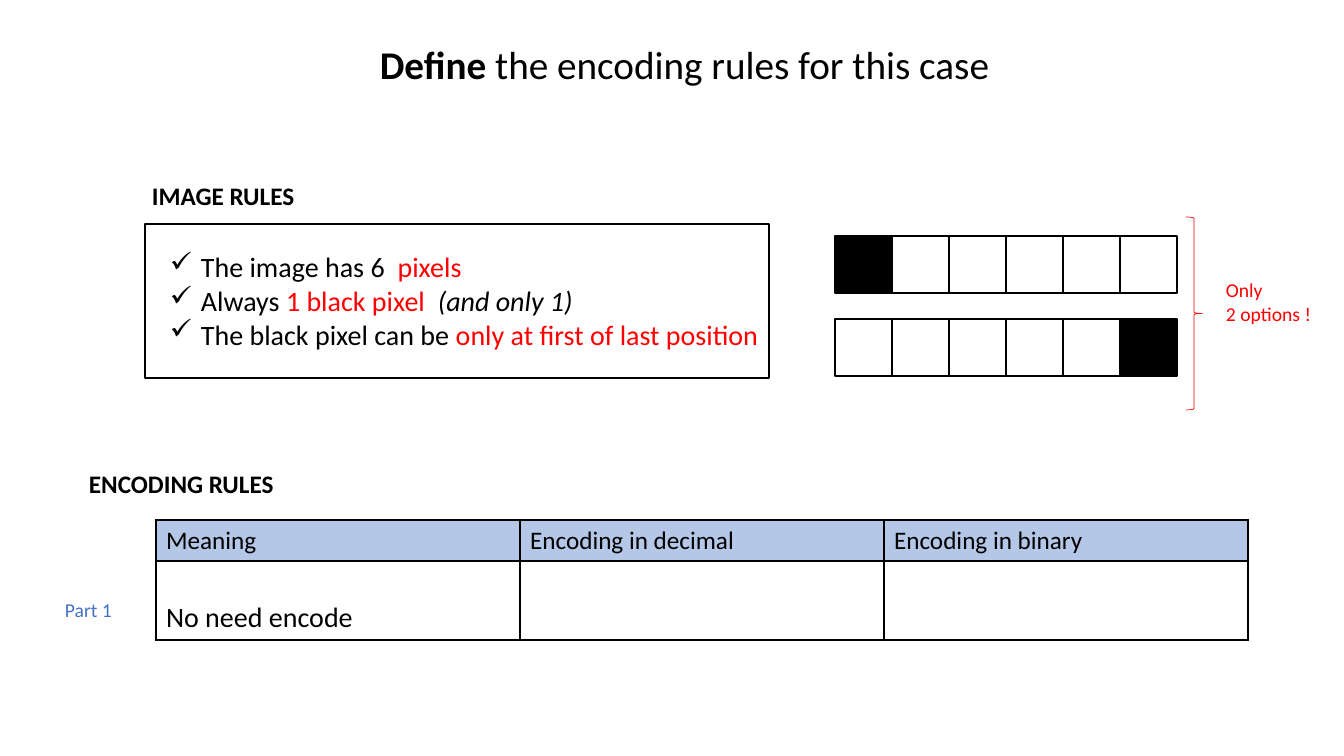
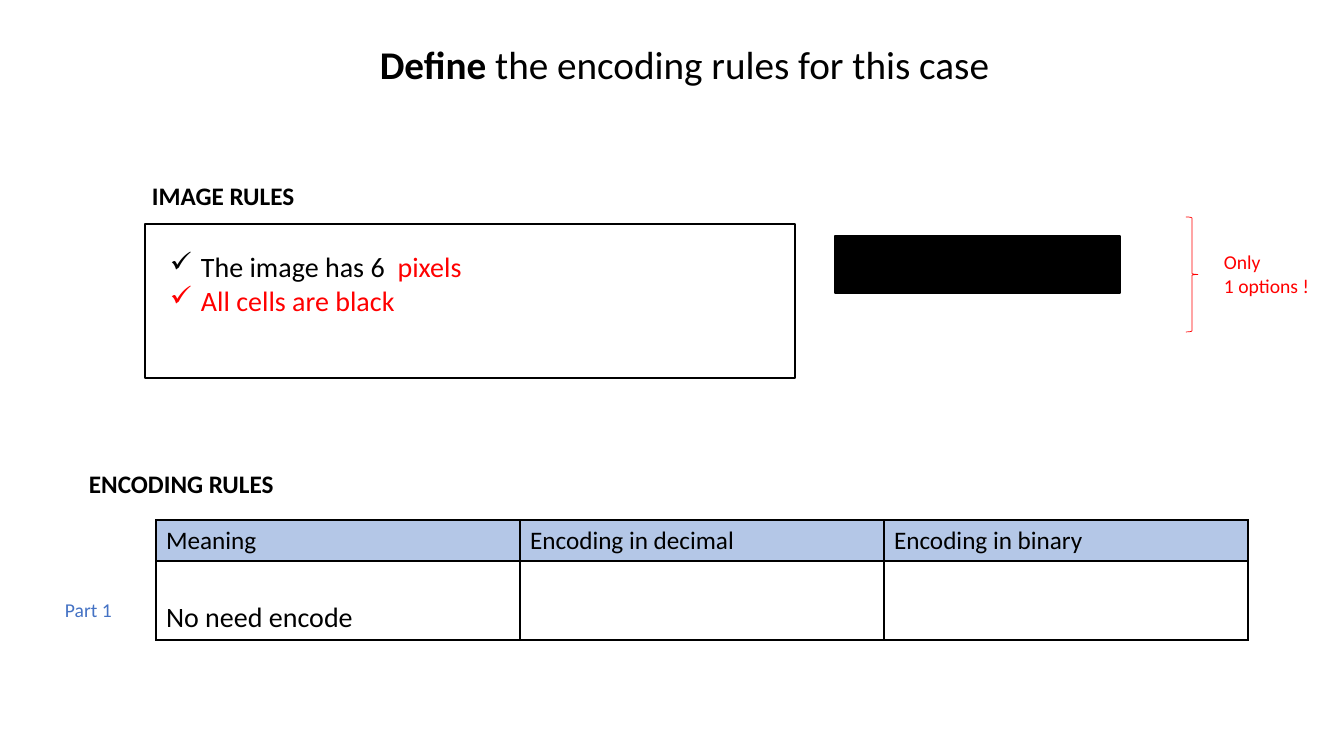
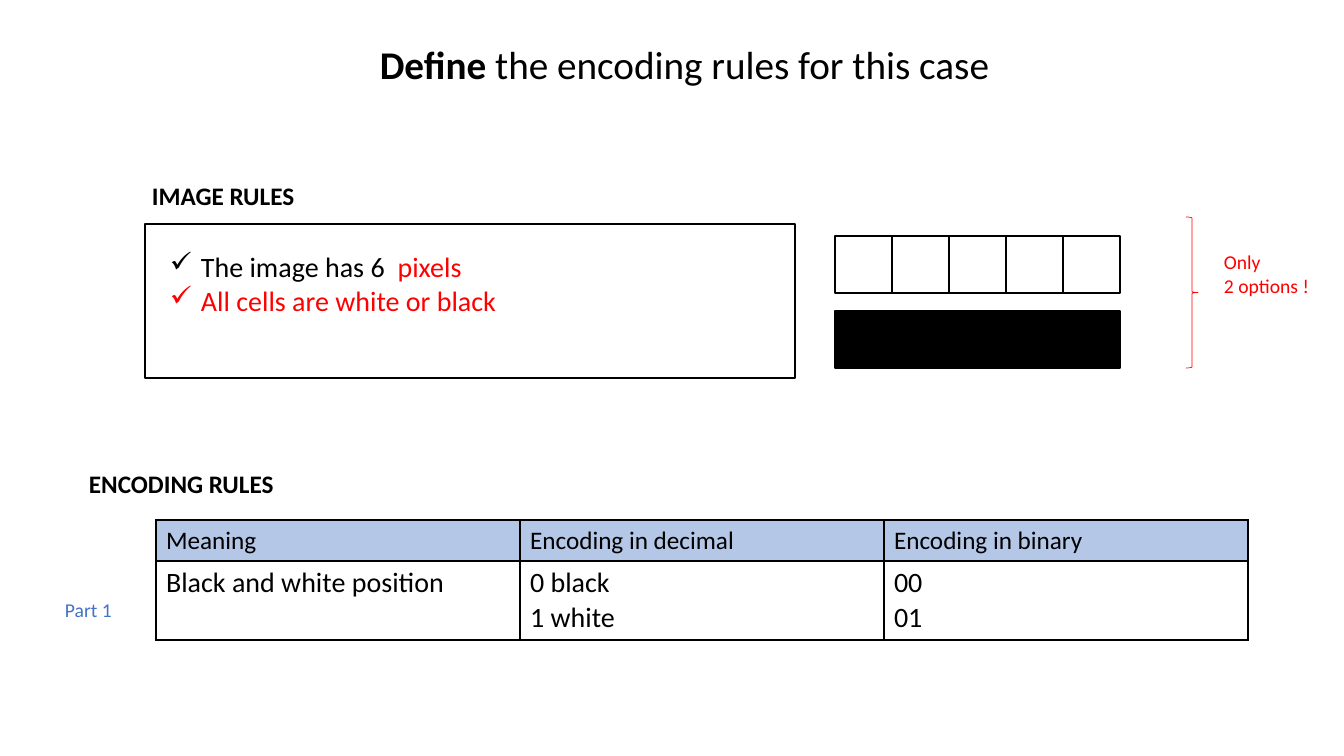
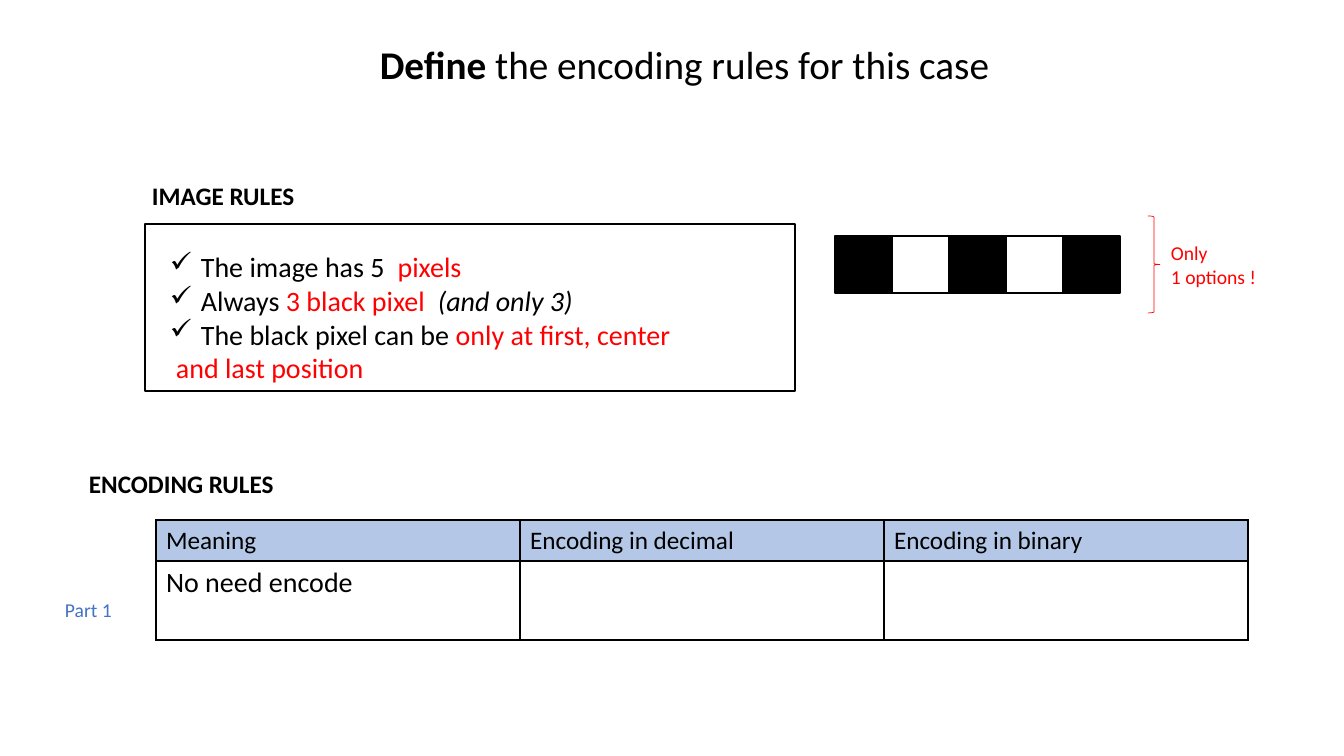
from dataclasses import dataclass

from lxml import etree
from pptx import Presentation
from pptx.dml.color import RGBColor
from pptx.enum.shapes import MSO_SHAPE
from pptx.enum.text import MSO_ANCHOR, MSO_AUTO_SIZE, PP_ALIGN
from pptx.oxml.ns import qn
from pptx.util import Pt

RECTANGLE, BRACE = MSO_SHAPE.RECTANGLE, MSO_SHAPE.RIGHT_BRACE
TOP, BOTTOM = MSO_ANCHOR.TOP, MSO_ANCHOR.BOTTOM
CENTER = PP_ALIGN.CENTER
NO_AUTOFIT = MSO_AUTO_SIZE.NONE
EMU_PER_PX = 914400 / 100.8


@dataclass(frozen=True)
class Theme:
    font: str = "Calibri"
    black: str = "000000"
    white: str = "FFFFFF"
    red: str = "FF0000"
    blue: str = "4472C4"
    header: str = "B4C7E7"
    title: int = 28
    body: int = 20
    heading: int = 18
    label: int = 14


THEME = Theme()
RED, BOLD, ITALIC = "red", "bold", "italic"


def px(*lengths):
    return [round(length * EMU_PER_PX) for length in lengths]


def write(frame, lines, size, colour=THEME.black):
    """Fill a text frame; a line is a list of (text, style) spans."""
    for index, spans in enumerate(lines):
        para = frame.paragraphs[0] if index == 0 else frame.add_paragraph()
        for text, style in spans:
            span = para.add_run()
            span.text = text
            font = span.font
            font.name, font.size = THEME.font, Pt(size)
            font.bold, font.italic = style == BOLD, style == ITALIC
            font.color.rgb = RGBColor.from_string(THEME.red if style == RED else colour)


TITLE = [("Define", BOLD), (" the encoding rules for this case", "")]
HEADERS = ["Meaning", "Encoding in decimal", "Encoding in binary"]
TABLE_LEFT, TABLE_TOP, COLUMN_WIDTH, ROW_HEIGHTS = 156, 520, 364, (41, 79)
PIXEL_LEFT, PIXEL_SIZE = 835, 57
BULLET_INDENT, CONTINUATION_INDENT = 31, 6
SIX_PIXELS = [("The image has 6  ", ""), ("pixels", RED)]

# Each pixel row is its top and a pattern in which # stands for black.
CASES = [
    dict(
        rules=[
            SIX_PIXELS,
            [("Always ", ""), ("1 black pixel  ", RED), ("(and only 1)", ITALIC)],
            [("The black pixel can be ", ""), ("only at first of last position", RED)],
        ],
        bullets=3, rules_size=(615, 112), frame_size=(624, 154),
        pixel_rows=[(236, "#....."), (319, ".....#")],
        brace=(1186, 217, 16, 193), note_at=(1216, 273), options="2 options !",
        answers=[["No need encode"], [], []], anchor=BOTTOM,
    ),
    dict(
        rules=[SIX_PIXELS, [("All cells are black", RED)]],
        bullets=2, rules_size=(316, 78), frame_size=(650, 154),
        pixel_rows=[(236, "#####")],
        brace=(1186, 217, 12, 115), note_at=(1214, 245), options="1 options !",
        answers=[["No need encode"], [], []], anchor=BOTTOM,
    ),
    dict(
        rules=[SIX_PIXELS, [("All cells are white or black", RED)]],
        bullets=2, rules_size=(351, 78), frame_size=(650, 154),
        pixel_rows=[(236, "....."), (311, "#####")],
        brace=(1186, 217, 12, 151), note_at=(1214, 245), options="2 options !",
        answers=[["Black and white position"], ["0 black", "1 white"], ["00", "01"]],
        anchor=TOP,
    ),
    dict(
        rules=[
            [("The image has 5  ", ""), ("pixels", RED)],
            [("Always ", ""), ("3 black pixel  ", RED), ("(and only 3)", ITALIC)],
            [("The black pixel can be ", ""), ("only at first, center", RED)],
            [("and last position", RED)],
        ],
        bullets=3, rules_size=(526, 146), frame_size=(650, 167),
        pixel_rows=[(236, "#.#.#")],
        brace=(1148, 216, 12, 97), note_at=(1161, 236), options="1 options !",
        answers=[["No need encode"], [], []], anchor=TOP,
    ),
]

deck = Presentation()
deck.slide_width, deck.slide_height = px(1344, 756)

for case in CASES:
    page = deck.slides.add_slide(deck.slide_layouts[5])

    title = page.shapes.title
    title.left, title.top, title.width, title.height = px(302, 35, 765, 57)
    title.text_frame.vertical_anchor = TOP
    title.text_frame.auto_size = NO_AUTOFIT
    write(title.text_frame, [TITLE], THEME.title)
    title.text_frame.paragraphs[0].alignment = CENTER

    # Encoding table
    table = page.shapes.add_table(
        2, 3, *px(TABLE_LEFT, TABLE_TOP, 3 * COLUMN_WIDTH, sum(ROW_HEIGHTS))
    ).table
    table.first_row = table.horz_banding = False
    for column in table.columns:
        column.width = px(COLUMN_WIDTH)[0]
    contents = [[[header] for header in HEADERS], case["answers"]]
    for row, row_contents in enumerate(contents):
        table.rows[row].height = px(ROW_HEIGHTS[row])[0]
        for column, texts in enumerate(row_contents):
            cell = table.cell(row, column)
            properties = cell._tc.get_or_add_tcPr()
            for side in ("a:lnL", "a:lnR", "a:lnT", "a:lnB"):
                border = etree.SubElement(properties, qn(side), w=str(Pt(1)))
                fill = etree.SubElement(border, qn("a:solidFill"))
                etree.SubElement(fill, qn("a:srgbClr"), val=THEME.black)
            cell.fill.solid()
            cell.fill.fore_color.rgb = RGBColor.from_string(
                THEME.white if row else THEME.header
            )
            cell.vertical_anchor = case["anchor"] if row else TOP
            lines = [[(text, "")] for text in texts]
            write(cell.text_frame, lines, THEME.body if row else THEME.heading)

    # Headings, rules and labels
    note = [[("Only", "")], [(case["options"], "")]]
    texts = [
        ((55, 593, 68, 34), [[("Part 1", "")]], THEME.label, THEME.blue),
        ((79, 463, 208, 40), [[("ENCODING RULES", BOLD)]], THEME.heading, THEME.black),
        ((142, 175, 164, 40), [[("IMAGE RULES", BOLD)]], THEME.heading, THEME.black),
        ((*case["note_at"], 106, 57), note, THEME.label, THEME.red),
        ((160, 245, *case["rules_size"]), case["rules"], THEME.body, THEME.black),
    ]
    for bounds, lines, size, colour in texts:
        box = page.shapes.add_textbox(*px(*bounds))
        box.text_frame.word_wrap = False
        write(box.text_frame, lines, size, colour)
        if lines is case["rules"]:
            for index, para in enumerate(box.text_frame.paragraphs):
                properties = para._p.get_or_add_pPr()
                if index < case["bullets"]:
                    indent = px(BULLET_INDENT)[0]
                    properties.set("marL", str(indent))
                    properties.set("indent", str(-indent))
                    etree.SubElement(properties, qn("a:buChar"), char="✓")
                else:
                    properties.set("marL", str(px(CONTINUATION_INDENT)[0]))

    # Rules frame, pixels and brace
    outlines = [
        (RECTANGLE, (145, 224, *case["frame_size"]), None, THEME.black, 1),
        (BRACE, case["brace"], None, THEME.red, 0.5),
    ]
    for top, pattern in case["pixel_rows"]:
        for index, mark in enumerate(pattern):
            bounds = (PIXEL_LEFT + index * PIXEL_SIZE, top, PIXEL_SIZE, PIXEL_SIZE)
            fill = THEME.black if mark == "#" else THEME.white
            outlines.append((RECTANGLE, bounds, fill, THEME.black, 1))
    for preset, bounds, fill, line, weight in outlines:
        shape = page.shapes.add_shape(preset, *px(*bounds))
        shape.shadow.inherit = False
        shape.line.color.rgb = RGBColor.from_string(line)
        shape.line.width = Pt(weight)
        if fill:
            shape.fill.solid()
            shape.fill.fore_color.rgb = RGBColor.from_string(fill)
        else:
            shape.fill.background()

deck.save("out.pptx")
